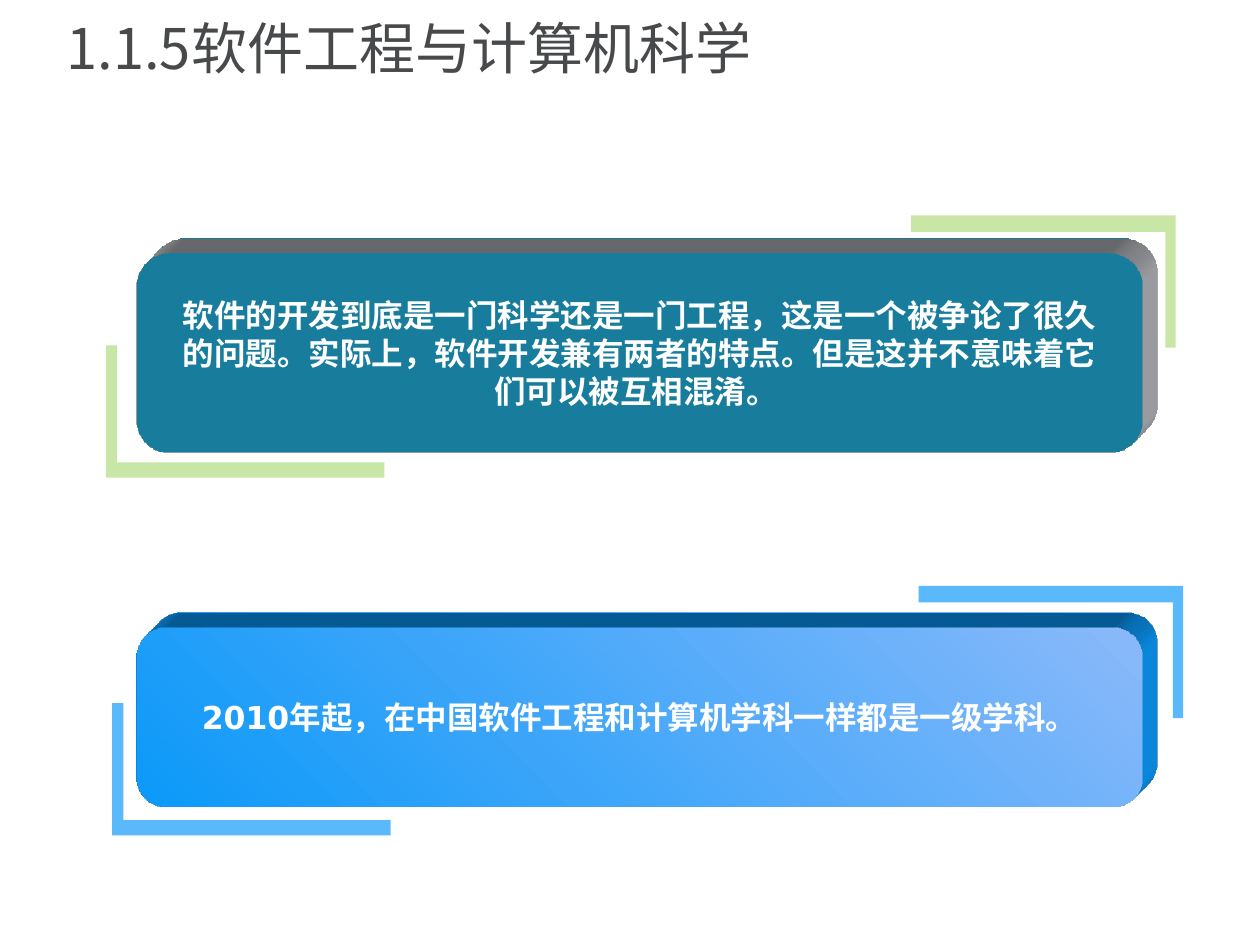
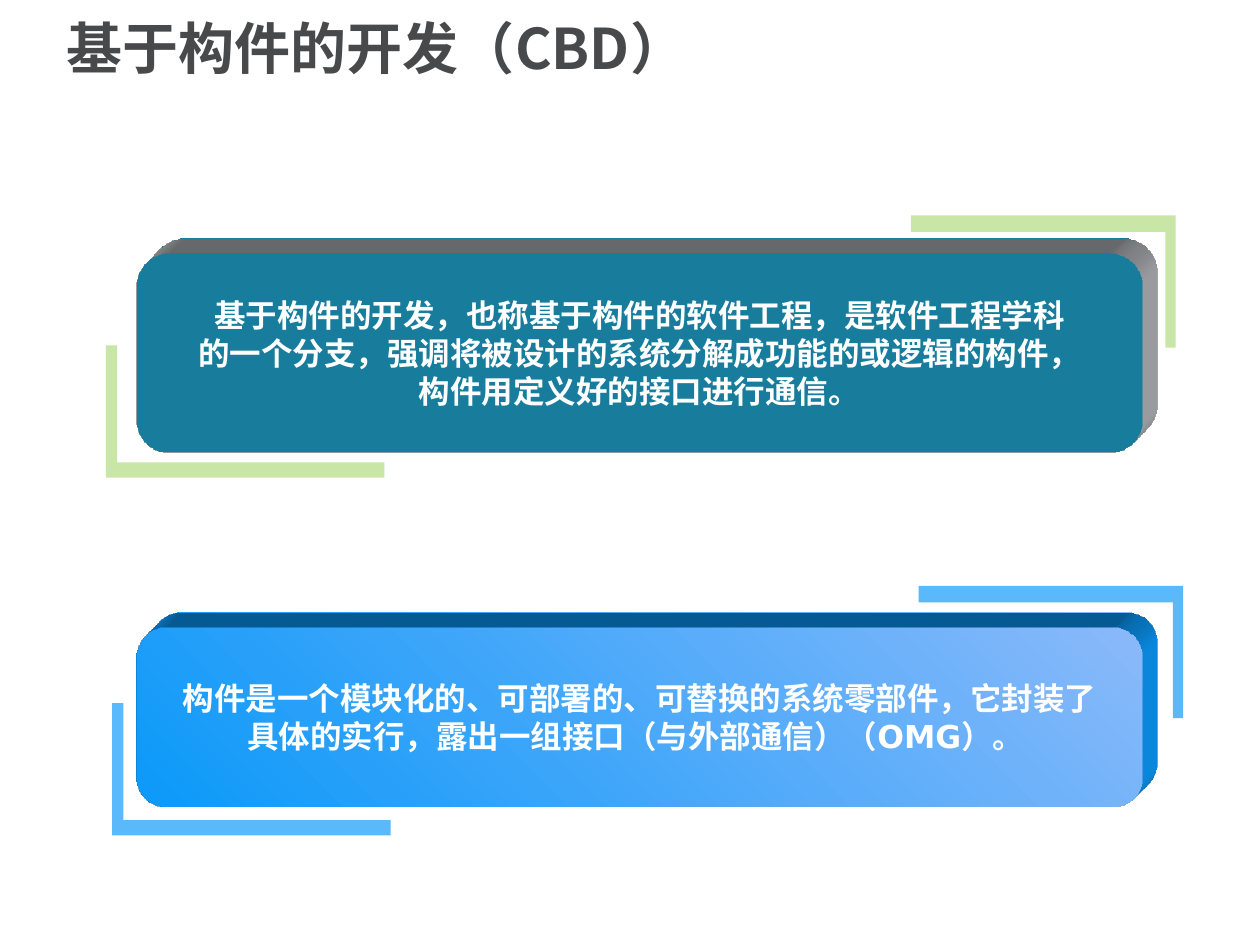
"""Build two slides with a title and two raised, bracketed statement panels."""
from dataclasses import dataclass

from lxml import etree
from pptx import Presentation
from pptx import util as u
from pptx.dml.color import RGBColor
from pptx.enum import shapes, text
from pptx.oxml.ns import qn

CJK = "Noto Sans CJK SC"
LATIN = "DejaVu Sans"
TITLE_INK = "47494B"
WHITE = "FFFFFF"
PANEL_LEFT, PANEL_WIDTH = 1.08, 7.99
DEPTH = 0.33
ROUNDING = 0.167
BRACKET_HEIGHT = 1.05


@dataclass(frozen=True)
class Bracket:
    """An L whose arms run from its corner in the directions of the signed lengths."""
    x: float
    y: float
    width: float
    height: float
    stem: float
    bar: float


@dataclass(frozen=True)
class Panel:
    """A raised panel with its colours, font and two brackets."""
    top: float
    height: float
    face: tuple[str, ...]
    edge: str
    accent: str
    opacity: int
    font: str
    brackets: tuple[Bracket, Bracket]


@dataclass(frozen=True)
class Content:
    """The words of one slide."""
    title: str
    bold: bool
    statements: tuple[tuple[str, ...], tuple[str, ...]]


def bracket_pair(left: float, bottom: float, right: float, top: float) -> tuple[Bracket, Bracket]:
    """Return the lower left and upper right brackets around a panel."""
    return (Bracket(left, bottom, 2.21, -BRACKET_HEIGHT, 0.09, 0.12),
            Bracket(right, top, -2.1, BRACKET_HEIGHT, 0.08, 0.13))


PANELS = (
    Panel(2.01, 1.58, ("22B1DE",), "AFB1B5", "92D050", 50, CJK,
          bracket_pair(0.84, 3.79, 9.33, 1.71)),
    Panel(4.98, 1.42, ("0B99F9", "8AB9FA"), "0B99F9", "0B99F9", 68, LATIN,
          bracket_pair(0.89, 6.63, 9.39, 4.65)),
)

SLIDES = (
    Content("1.1.5软件工程与计算机科学", False, (
        ("软件的开发到底是一门科学还是一门工程，这是一个被争论了很久",
         "的问题。实际上，软件开发兼有两者的特点。但是这并不意味着它",
         "们可以被互相混淆。 "),
        ("2010年起，在中国软件工程和计算机学科一样都是一级学科。",))),
    Content("基于构件的开发（CBD）", True, (
        ("基于构件的开发，也称基于构件的软件工程，是软件工程学科",
         "的一个分支，强调将被设计的系统分解成功能的或逻辑的构件，",
         "构件用定义好的接口进行通信。"),
        ("构件是一个模块化的、可部署的、可替换的系统零部件，它封装了",
         "具体的实行，露出一组接口（与外部通信）（OMG）。 "))),
)


def rgb(value: str) -> RGBColor:
    """Turn a hex string into a colour."""
    return RGBColor.from_string(value)


def add_node(parent, tag: str, **attributes: str):
    """Append a drawing element with attributes."""
    node = etree.SubElement(parent, qn(tag))
    for key, value in attributes.items():
        node.set(key, value)
    return node


def paint(shape, colours: tuple[str, ...], opacity: int = 100) -> None:
    """Fill a shape with one colour or a rising gradient, without line or shadow."""
    shape.shadow.inherit = False
    shape.line.fill.background()
    if len(colours) == 1:
        shape.fill.solid()
        shape.fill.fore_color.rgb = rgb(colours[0])
        if opacity < 100:
            colour = shape.fill._xPr.find(qn("a:solidFill"))[0]
            add_node(colour, "a:alpha", val=str(opacity * 1000))
        return
    shape.fill.gradient()
    shape.fill.gradient_angle = 45
    for stop, colour, position in zip(shape.fill.gradient_stops, colours, (0, 1)):
        stop.color.rgb = rgb(colour)
        stop.position = position


def extrude(shape, edge: str) -> None:
    """Raise a shape towards the upper right with edges of one colour."""
    properties = shape._element.spPr
    scene = add_node(properties, "a:scene3d")
    add_node(scene, "a:camera", prst="legacyObliqueTopRight")
    add_node(scene, "a:lightRig", rig="legacyFlat3", dir="b")
    solid = add_node(properties, "a:sp3d", extrusionH=str(u.Inches(DEPTH)), prstMaterial="legacyMatte")
    for bevel in ("a:bevelT", "a:bevelB"):
        add_node(solid, bevel, w="13500", h="13500", prst="angle")
    add_node(add_node(solid, "a:extrusionClr"), "a:srgbClr", val=edge)


def write(shape, lines: tuple[str, ...], *, size: float, colour: str, font: str = CJK,
          bold: bool = False, align=text.PP_ALIGN.LEFT, wrap: bool = True, spacing: float = 1) -> None:
    """Write one paragraph per line in a shape, centred vertically."""
    frame = shape.text_frame
    frame.word_wrap = wrap
    frame.vertical_anchor = text.MSO_ANCHOR.MIDDLE
    for index, line in enumerate(lines):
        paragraph = frame.add_paragraph() if index else frame.paragraphs[0]
        paragraph.alignment = align
        paragraph.line_spacing = spacing
        run = paragraph.add_run()
        run.text = line
        run.font.size = u.Pt(size)
        run.font.bold = bold
        run.font.name = font
        run.font.color.rgb = rgb(colour)
        add_node(run.font._element, "a:ea", typeface=CJK)


def draw_bracket(slide, bracket: Bracket, accent: str, opacity: int) -> None:
    """Draw one translucent L-shaped bracket."""
    across = 1 if bracket.width > 0 else -1
    down = 1 if bracket.height > 0 else -1
    x, y = bracket.x, bracket.y
    inner_x, inner_y = x + across * bracket.stem, y + down * bracket.bar
    end_x, end_y = x + bracket.width, y + bracket.height
    points = ((inner_x, inner_y), (inner_x, end_y), (x, end_y), (x, y), (end_x, y), (end_x, inner_y))
    corners = [(u.Inches(px), u.Inches(py)) for px, py in points]
    builder = slide.shapes.build_freeform(*corners[0])
    builder.add_line_segments(corners[1:], close=True)
    paint(builder.convert_to_shape(), (accent,), opacity)


def draw_panel(slide, panel: Panel, lines: tuple[str, ...]) -> None:
    """Draw the brackets and the raised panel with its statement."""
    for bracket in panel.brackets:
        draw_bracket(slide, bracket, panel.accent, panel.opacity)
    face = slide.shapes.add_shape(
        shapes.MSO_SHAPE.ROUNDED_RECTANGLE, u.Inches(PANEL_LEFT), u.Inches(panel.top),
        u.Inches(PANEL_WIDTH), u.Inches(panel.height))
    face.adjustments[0] = ROUNDING
    paint(face, panel.face)
    extrude(face, panel.edge)
    write(face, lines, size=18, colour=WHITE, font=panel.font, bold=True,
          align=text.PP_ALIGN.CENTER, wrap=False)


def build_slide(deck, content: Content) -> None:
    """Add one slide with its title and panels."""
    slide = deck.slides.add_slide(deck.slide_layouts[6])
    title = slide.shapes.add_textbox(u.Inches(0.43), u.Inches(0.06), u.Inches(9.05), u.Inches(0.7))
    write(title, (content.title,), size=32, colour=TITLE_INK, bold=content.bold, spacing=0.9)
    for panel, lines in zip(PANELS, content.statements):
        draw_panel(slide, panel, lines)


def main() -> None:
    """Build and save the deck."""
    deck = Presentation()
    deck.slide_width, deck.slide_height = u.Inches(10), u.Inches(7.5)
    for content in SLIDES:
        build_slide(deck, content)
    deck.save("out.pptx")


if __name__ == "__main__":
    main()
